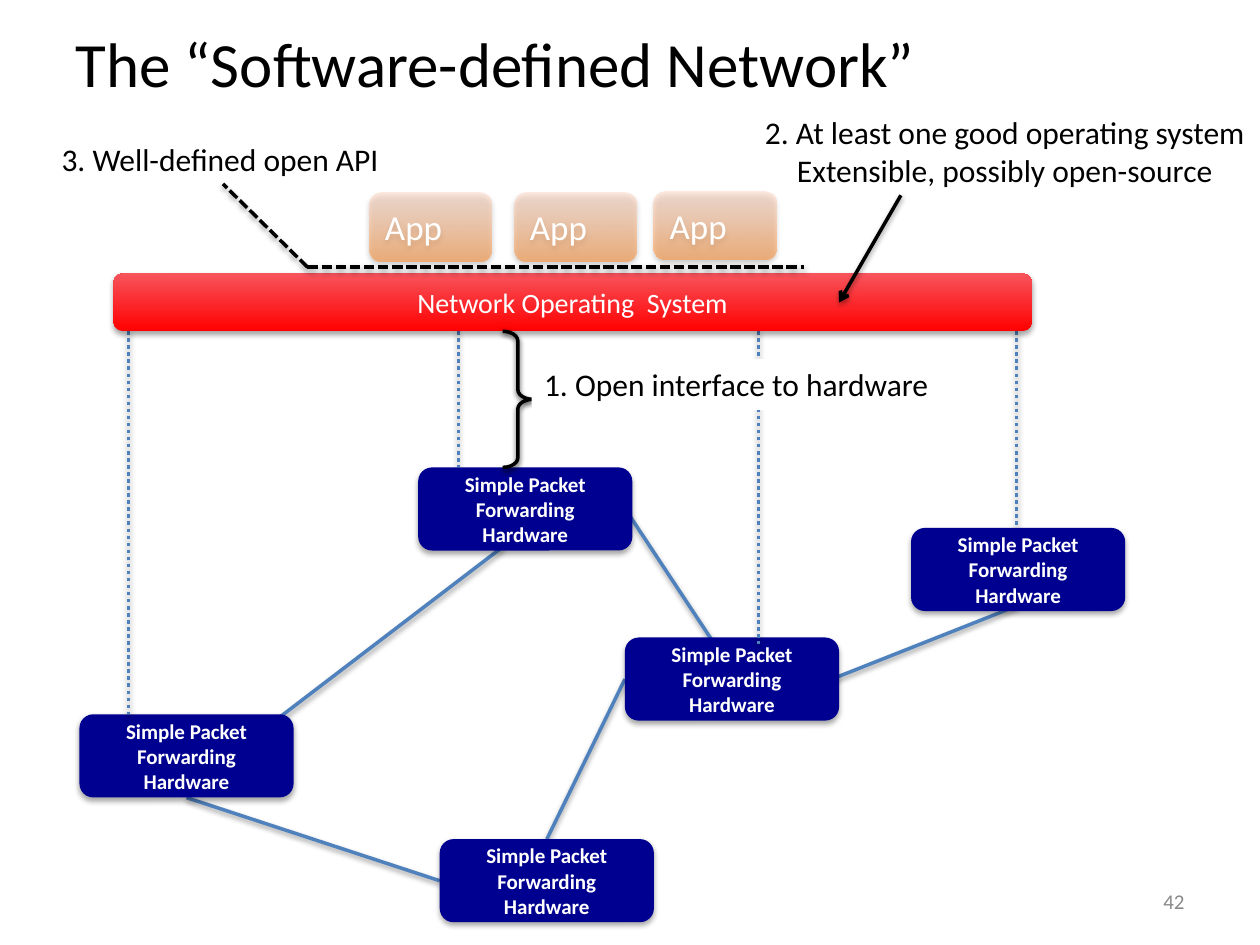
from dataclasses import dataclass
from typing import Optional

from lxml.etree import SubElement
from pptx import Presentation
from pptx.dml.color import RGBColor
from pptx.enum.dml import MSO_LINE
from pptx.enum.shapes import MSO_CONNECTOR, MSO_SHAPE
from pptx.enum.text import MSO_ANCHOR, PP_ALIGN
from pptx.oxml.ns import qn
from pptx.util import Pt

BLACK, WHITE, BLUE, NAVY, GRAY = "000000", "FFFFFF", "4F81BD", "000090", "898989"
BAR_BOTTOM = 189.3
NODE_WIDTH, NODE_HEIGHT = 122.4, 47.5
APP_WIDTH, APP_HEIGHT = 70, 39


@dataclass
class Frame:
    left: float
    top: float
    width: float
    height: float


@dataclass
class TextStyle:
    size: float
    color: str = BLACK
    bold: bool = False
    align: PP_ALIGN = PP_ALIGN.LEFT
    anchor: MSO_ANCHOR = MSO_ANCHOR.MIDDLE
    wrap: bool = True


@dataclass
class Stroke:
    start: tuple[float, float]
    end: tuple[float, float]
    color: str = BLUE
    dash: Optional[MSO_LINE] = None
    arrow: bool = False


@dataclass
class GradientStop:
    color: str
    opacity: int = 100


NODE_STYLE = TextStyle(12, WHITE, bold=True, align=PP_ALIGN.CENTER)
APP_STYLE = TextStyle(20, WHITE)
LABEL_STYLE = TextStyle(18, anchor=MSO_ANCHOR.TOP, wrap=False)
APP_STOPS = [GradientStop("FF953E", 60), GradientStop("FFD2BD", 45)]
BAR_STOPS = [GradientStop("FF0000"), GradientStop("F7545C")]

LINKS = [
    Stroke((156.2, 412.6), (287.3, 312.5)),
    Stroke((347.8, 276.5), (408.2, 367.9)),
    Stroke((312.5, 479.5), (357.1, 388.1)),
    Stroke((106.6, 455.8), (251.3, 503.3)),
    Stroke((468, 391), (581, 346.3)),
]
CONTROLS = [(73.4, 408.2), (262.1, 267.1), (433.4, 367.9), (581, 301.7)]
LOWER_NODES = [(45.4, 408.2), (357.1, 364.3), (251.3, 479.5)]
UPPER_NODES = [(239, 267.1), (520.6, 301.7)]
APPS = [(211, 110.2), (293.8, 110.2), (373.7, 109.4)]


def rgb(color: str) -> RGBColor:
    return RGBColor.from_string(color)


def add_shadow(effects, opacity: int, distance: float) -> None:
    shadow = SubElement(effects, qn("a:outerShdw"), blurRad=str(Pt(3.15)),
                        dist=str(Pt(distance)), dir="5400000", rotWithShape="0")
    tint = SubElement(shadow, qn("a:srgbClr"), val=BLACK)
    SubElement(tint, qn("a:alpha"), val=str(opacity * 1000))


def add_stroke(page, stroke: Stroke) -> None:
    connector = page.shapes.add_connector(
        MSO_CONNECTOR.STRAIGHT, *(Pt(value) for value in stroke.start + stroke.end))
    connector.line.color.rgb = rgb(stroke.color)
    connector.line.width = Pt(2)
    if stroke.dash is not None:
        connector.line.dash_style = stroke.dash
    if stroke.arrow:
        SubElement(connector.line._get_or_add_ln(), qn("a:tailEnd"), type="arrow")
    add_shadow(SubElement(connector._element.spPr, qn("a:effectLst")), 38, 1.6)


def write(box, lines: list[str], style: TextStyle) -> None:
    frame = box.text_frame
    frame.word_wrap = style.wrap
    frame.vertical_anchor = style.anchor
    for index, line in enumerate(lines):
        para = frame.paragraphs[0] if index == 0 else frame.add_paragraph()
        para.text = line
        para.alignment = style.align
        para.font.name = "Calibri"
        para.font.size = Pt(style.size)
        para.font.bold = style.bold
        para.font.color.rgb = rgb(style.color)


def add_text(page, frame: Frame, lines: list[str], style: TextStyle):
    box = page.shapes.add_textbox(
        Pt(frame.left), Pt(frame.top), Pt(frame.width), Pt(frame.height))
    write(box, lines, style)
    return box


def add_plain(page, preset: MSO_SHAPE, frame: Frame):
    shape = page.shapes.add_shape(
        preset, Pt(frame.left), Pt(frame.top), Pt(frame.width), Pt(frame.height))
    shape.shadow.inherit = False
    shape.line.fill.background()
    return shape


def shade(shape, opacity: int, distance: float) -> None:
    add_shadow(shape._element.spPr.find(qn("a:effectLst")), opacity, distance)


def add_block(page, frame: Frame, text: str, style: TextStyle, stops: list[GradientStop]):
    shape = add_plain(page, MSO_SHAPE.ROUNDED_RECTANGLE, frame)
    if len(stops) == 1:
        shape.fill.solid()
        shape.fill.fore_color.rgb = rgb(stops[0].color)
    else:
        shape.fill.gradient()
        shape.fill.gradient_angle = 90
        for target, stop in zip(shape.fill.gradient_stops, stops):
            target.color.rgb = rgb(stop.color)
        for tint, stop in zip(shape._element.spPr.iter(qn("a:srgbClr")), stops):
            if stop.opacity < 100:
                SubElement(tint, qn("a:alpha"), val=str(stop.opacity * 1000))
    shade(shape, 35, 1.8)
    write(shape, [text], style)


def add_nodes(page, places: list[tuple[float, float]]) -> None:
    for left, top in places:
        add_block(page, Frame(left, top, NODE_WIDTH, NODE_HEIGHT),
                  "Simple Packet Forwarding Hardware", NODE_STYLE, [GradientStop(NAVY)])


def add_interface(page) -> None:
    brace = add_plain(page, MSO_SHAPE.RIGHT_BRACE, Frame(287.3, BAR_BOTTOM, 17.3, 77.8))
    brace.adjustments[0] = 0.32
    brace.fill.background()
    brace.line.color.rgb = rgb(BLACK)
    brace.line.width = Pt(2)
    shade(brace, 69, 1.6)
    label = add_plain(page, MSO_SHAPE.RECTANGLE, Frame(303.8, 205.2, 236.2, 29))
    label.fill.solid()
    label.fill.fore_color.rgb = rgb(WHITE)
    write(label, ["1. Open interface to hardware"], TextStyle(18, anchor=MSO_ANCHOR.TOP))


def main() -> None:
    deck = Presentation()
    deck.slide_width, deck.slide_height = Pt(720), Pt(540)
    page = deck.slides.add_slide(deck.slide_layouts[6])

    for link in LINKS:
        add_stroke(page, link)
    add_nodes(page, LOWER_NODES)
    for left, top in APPS:
        add_block(page, Frame(left, top, APP_WIDTH, APP_HEIGHT), "App", APP_STYLE, APP_STOPS)
    for x, bottom in CONTROLS:
        add_stroke(page, Stroke((x, BAR_BOTTOM), (x, bottom), dash=MSO_LINE.ROUND_DOT))
    add_nodes(page, UPPER_NODES)
    add_block(page, Frame(64.8, 156.2, 524.9, 33.1), "Network Operating  System",
              TextStyle(16, WHITE, align=PP_ALIGN.CENTER), BAR_STOPS)
    add_interface(page)

    corner = (175.7, 152.6)
    for end in [(459.4, 152.6), (127.4, 105.1)]:
        add_stroke(page, Stroke(corner, end, BLACK, MSO_LINE.SQUARE_DOT))
    add_text(page, Frame(28.1, 76.3, 197.3, 29), ["3. Well-defined open API"], LABEL_STYLE)
    add_text(page, Frame(428.4, 61.2, 291.6, 51),
             ["2. At least one good operating system", "Extensible, possibly open-source"],
             TextStyle(18, align=PP_ALIGN.CENTER, anchor=MSO_ANCHOR.TOP, wrap=False))
    add_stroke(page, Stroke((514.8, 111.6), (479.5, 172.8), BLACK, arrow=True))

    title = add_text(page, Frame(36, 14, 648, 72), ["The “Software-defined Network”"],
                     TextStyle(36, anchor=MSO_ANCHOR.TOP))
    title.text_frame.margin_top = Pt(0)
    add_text(page, Frame(516.2, 500.4, 167.8, 28.8), ["42"],
             TextStyle(12, GRAY, align=PP_ALIGN.RIGHT))
    deck.save("out.pptx")


if __name__ == "__main__":
    main()
